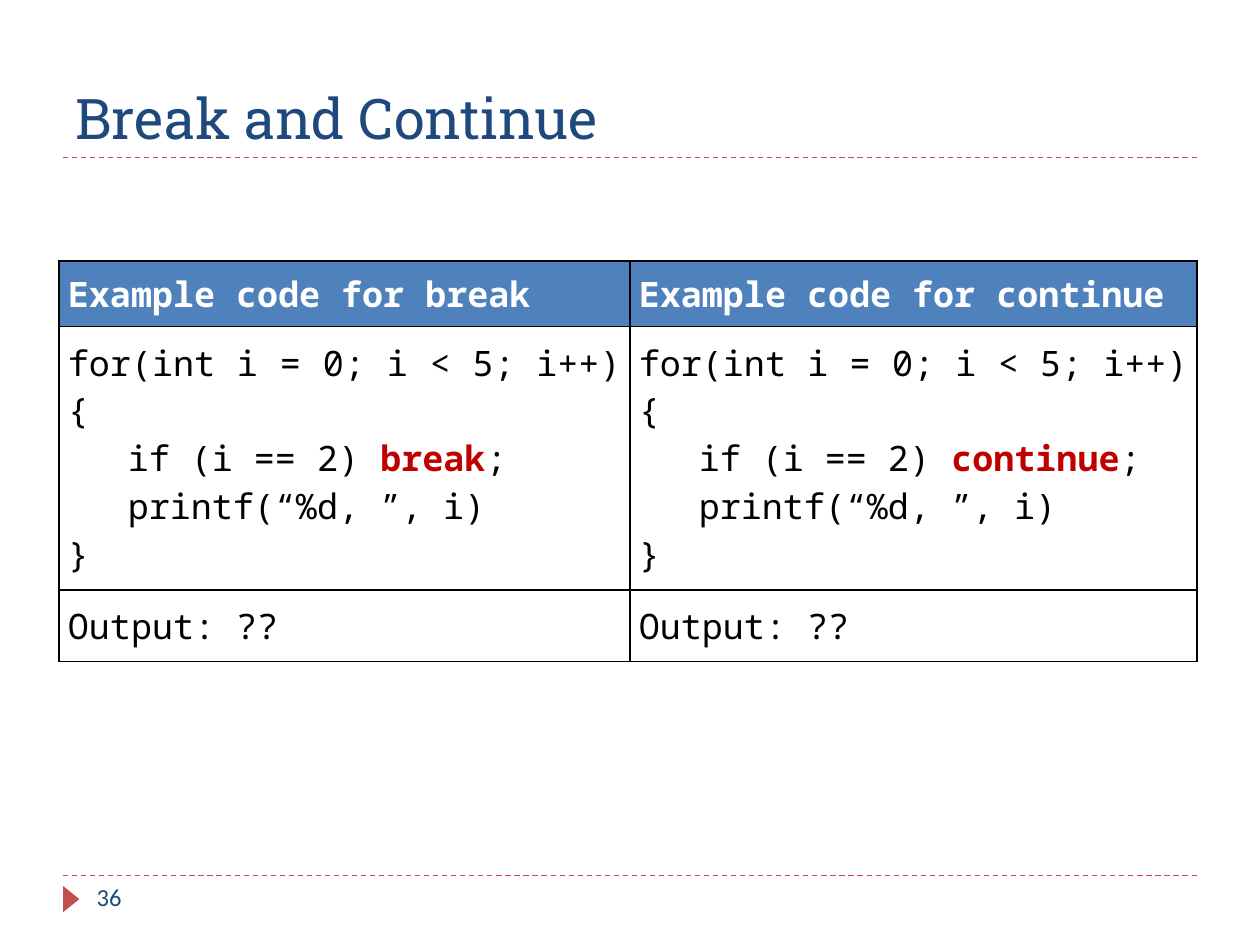
from lxml.etree import SubElement
from pptx import Presentation
from pptx.dml.color import RGBColor
from pptx.enum.dml import MSO_LINE_DASH_STYLE as Dash
from pptx.enum.shapes import MSO_CONNECTOR as Connector, MSO_SHAPE as Shape
from pptx.enum.text import MSO_ANCHOR as Anchor, PP_ALIGN as Align
from pptx.oxml.ns import qn
from pptx.util import Cm, Pt

TITLE = "Break and Continue"
PAGE_NUMBER = "36"
KEYWORDS = ["break", "continue"]
CODE = [
    "for(int i = 0; i < 5; i++){",
    "  if (i == 2) {keyword};",
    "  printf(“%d, ”, i)",
    "}",
]
OUTPUT = "Output: ??"

NAVY, RED, BLUE = "1F497D", "C0504D", "4F81BD"
TITLE_FONT = {"name": "Roboto Slab", "size": Pt(32), "color": NAVY}
NUMBER_FONT = {"name": "Calibri", "size": Pt(14), "color": NAVY}
CODE_FONT = {"name": "Noto Sans Mono", "size": Pt(20), "color": "000000", "bold": False}
HEADER_FONT = {**CODE_FONT, "color": "FFFFFF", "bold": True}
KEYWORD_FONT = {**CODE_FONT, "color": "C00000", "bold": True}

RULE_LEFT, RULE_RIGHT = 1.27, 24.13
RULE_HEIGHTS = [17.65, 3.18]
TABLE_LEFT, TABLE_TOP = 1.19, 5.26
COLUMN_WIDTHS = [11.51, 11.43]
ROW_HEIGHTS = [1.32, 5.31, 1.45]
CODE_INDENT = Cm(0.36)


def rgb(color):
    return RGBColor.from_string(color)


def add_span(para, text, style):
    span = para.add_run()
    span.text = text
    for key, value in style.items():
        if key == "color":
            span.font.color.rgb = rgb(value)
        else:
            setattr(span.font, key, value)


def add_label(page, area, text, style, anchor):
    frame = page.shapes.add_textbox(*map(Cm, area)).text_frame
    frame.word_wrap = True
    frame.vertical_anchor = anchor
    add_span(frame.paragraphs[0], text, style)


def add_rule(page, top):
    rule = page.shapes.add_connector(
        Connector.STRAIGHT, Cm(RULE_LEFT), Cm(top), Cm(RULE_RIGHT), Cm(top))
    rule.line.color.rgb = rgb(RED)
    rule.line.width = Pt(0.75)
    rule.line.dash_style = Dash.DASH
    SubElement(rule.element.spPr, qn("a:effectLst"))


def add_marker(page):
    marker = page.shapes.add_shape(
        Shape.ISOSCELES_TRIANGLE, Cm(1.17), Cm(17.96), Cm(0.53), Cm(0.33))
    marker.rotation = 90
    marker.shadow.inherit = False
    marker.fill.solid()
    marker.fill.fore_color.rgb = rgb(RED)
    marker.line.fill.background()


def style_cell(cell, fill):
    """Set margins, black borders and the fill, in the order the schema asks for."""
    margins = {"margin_left": 0.18, "margin_right": 0.18, "margin_top": 0, "margin_bottom": 0}
    for side, size in margins.items():
        setattr(cell, side, Cm(size))
    cell.vertical_anchor = Anchor.MIDDLE
    properties = cell._tc.get_or_add_tcPr()
    for edge in ("lnL", "lnR", "lnT", "lnB"):
        border = SubElement(properties, qn(f"a:{edge}"), w=str(Pt(1)))
        SubElement(SubElement(border, qn("a:solidFill")), qn("a:srgbClr"), val="000000")
    if fill:
        cell.fill.solid()
        cell.fill.fore_color.rgb = rgb(fill)
    else:
        cell.fill.background()


def fill_cell(cell, lines, keyword, style):
    """Write one paragraph a line, with the keyword placeholder picked out in red."""
    frame = cell.text_frame
    for number, line in enumerate(lines):
        para = frame.add_paragraph() if number else frame.paragraphs[0]
        para.alignment = Align.JUSTIFY
        if line.startswith(" "):
            para._p.get_or_add_pPr().set("indent", str(CODE_INDENT))
        before, mark, after = line.partition("{keyword}")
        add_span(para, before, style)
        if mark:
            add_span(para, keyword, KEYWORD_FONT)
            add_span(para, after, style)


def add_code_table(page):
    table = page.shapes.add_table(
        len(ROW_HEIGHTS), len(COLUMN_WIDTHS), Cm(TABLE_LEFT), Cm(TABLE_TOP),
        Cm(sum(COLUMN_WIDTHS)), Cm(sum(ROW_HEIGHTS))).table
    for row, height in zip(table.rows, ROW_HEIGHTS):
        row.height = Cm(height)
    for column, width in zip(table.columns, COLUMN_WIDTHS):
        column.width = Cm(width)
    table.horz_banding = False
    for column, keyword in enumerate(KEYWORDS):
        rows = [
            ([f"Example code for {keyword}"], HEADER_FONT, BLUE),
            (CODE, CODE_FONT, None),
            ([OUTPUT], CODE_FONT, None),
        ]
        for row, (lines, style, fill) in enumerate(rows):
            cell = table.cell(row, column)
            style_cell(cell, fill)
            fill_cell(cell, lines, keyword, style)


def main():
    deck = Presentation()
    deck.slide_width, deck.slide_height = Cm(25.4), Cm(19.05)
    page = deck.slides.add_slide(deck.slide_layouts[6])
    for top in RULE_HEIGHTS:
        add_rule(page, top)
    add_marker(page)
    add_label(page, (1.27, 0.43, 22.86, 2.74), TITLE, TITLE_FONT, Anchor.BOTTOM)
    add_label(page, (1.7, 17.65, 5.51, 1.02), PAGE_NUMBER, NUMBER_FONT, Anchor.TOP)
    add_code_table(page)
    deck.save("out.pptx")


if __name__ == "__main__":
    main()
